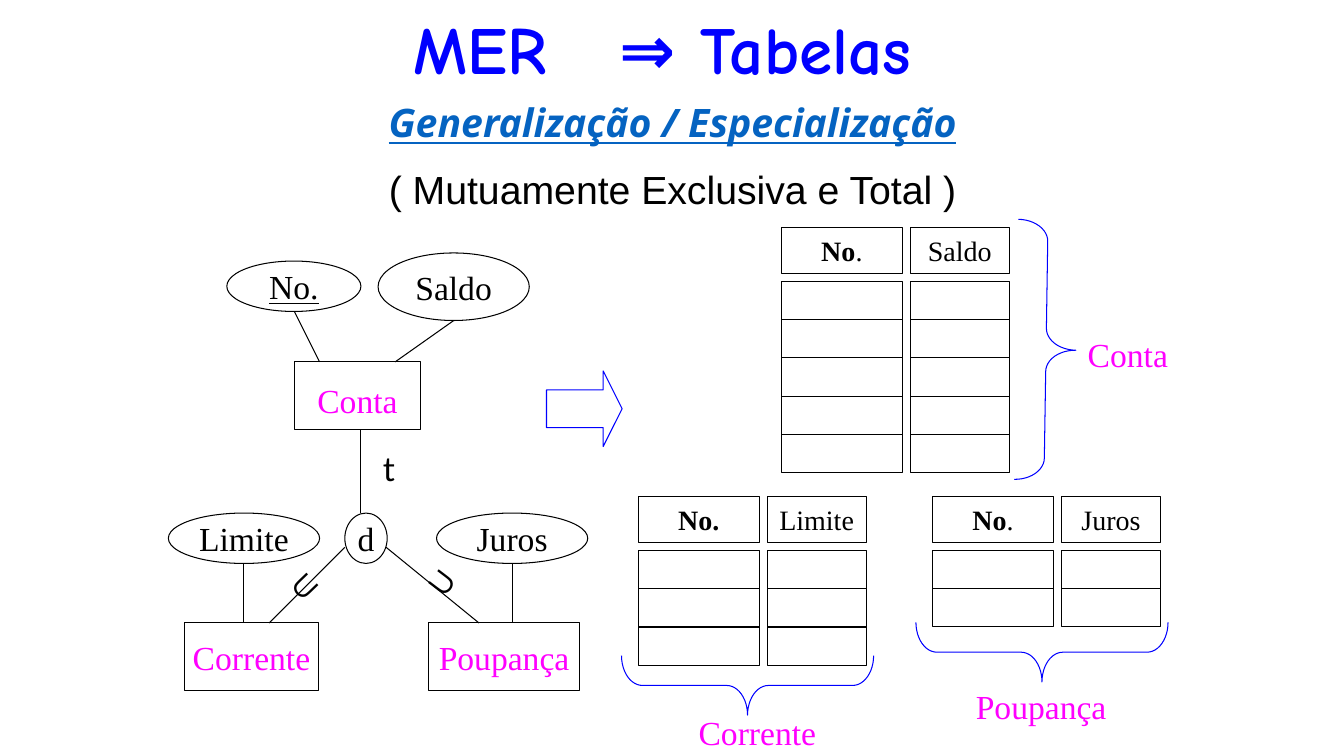
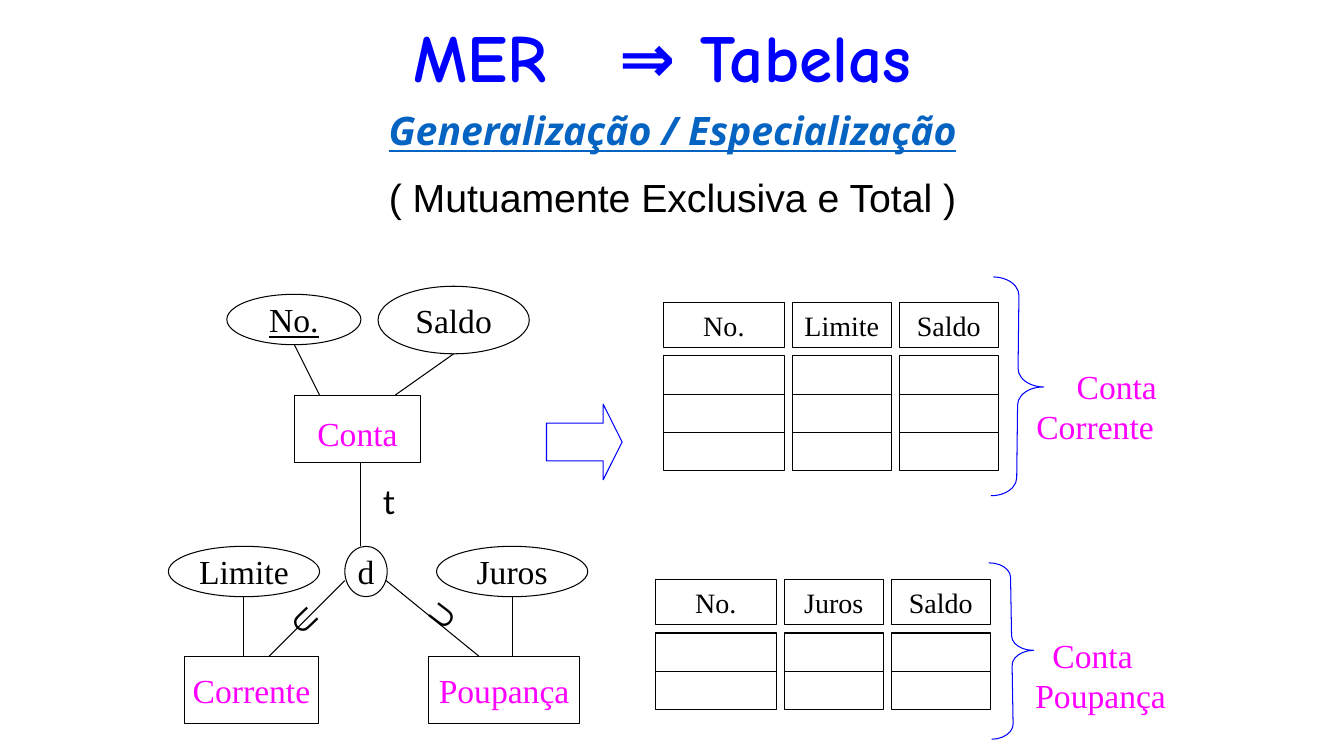
"""Build two slides that map an entity model with specialisation to tables."""
from dataclasses import dataclass
from typing import NamedTuple

from lxml import etree
from pptx import Presentation, slide as sl, util as u
from pptx.dml import color as col
from pptx.enum import shapes as sh, text as tx
from pptx.oxml import ns

KIND = sh.MSO_SHAPE
LEFT, MID = tx.PP_ALIGN.LEFT, tx.PP_ALIGN.CENTER
TOP, CORE, LOW = tx.MSO_ANCHOR.TOP, tx.MSO_ANCHOR.MIDDLE, tx.MSO_ANCHOR.BOTTOM


@dataclass(frozen=True)
class Theme:
    ink: str = "000000"
    blue: str = "0000FF"
    link: str = "0563C1"
    pink: str = "FF00FF"
    serif: str = "Times New Roman"
    comic: str = "Comic Neue"
    noto: str = "Noto Sans"
    arial: str = "Arial"
    lato: str = "Lato"
    title: int = 48
    sub: int = 28
    body: int = 24
    head: int = 20
    line: float = 0.75


T = Theme()


class Run(NamedTuple):
    text: str
    size: int = T.body
    font: str = T.serif
    color: str = T.ink
    bold: bool = False
    slant: bool = False
    under: bool = False


class Para(NamedTuple):
    runs: tuple[Run, ...]
    align: tx.PP_ALIGN = LEFT
    space: float = 0
    indent: float = 0
    tab: float = 0


class Box(NamedTuple):
    x: float
    y: float
    w: float
    h: float


@dataclass(frozen=True)
class Node:
    kind: sh.MSO_SHAPE
    box: Box
    run: Run
    drop: float = 0


@dataclass(frozen=True)
class Link:
    x1: float
    y1: float
    x2: float
    y2: float


@dataclass(frozen=True)
class Brace:
    box: Box
    turn: float
    bend: float


@dataclass(frozen=True)
class Label:
    box: Box
    lines: tuple[str, ...]
    indent: float = 0


@dataclass(frozen=True)
class Grid:
    x: float
    y: float
    rows: int
    heads: tuple[tuple[Run, ...], ...]


@dataclass(frozen=True)
class Page:
    top: float
    drop: float
    grids: tuple[Grid, ...]
    braces: tuple[Brace, ...]
    labels: tuple[Label, ...]


def pink(word: str) -> Run:
    """Return a run in the entity colour."""
    return Run(word, color=T.pink)


def head(word: str, bold: bool = False) -> Run:
    """Return a run in the column heading size."""
    return Run(word, T.head, bold=bold)


NODES = (
    Node(KIND.RECTANGLE, Box(2.92, 3.59, 1.25, 0.67), pink("Conta"), 0.04),
    Node(KIND.OVAL, Box(2.25, 2.59, 1.33, 0.5), Run("No.", under=True)),
    Node(KIND.OVAL, Box(3.75, 2.51, 1.5, 0.67), Run("Saldo")),
    Node(KIND.OVAL, Box(3.42, 5.09, 0.42, 0.5), Run("d")),
    Node(KIND.RECTANGLE, Box(1.83, 6.18, 1.33, 0.67), pink("Corrente")),
    Node(KIND.RECTANGLE, Box(4.25, 6.18, 1.5, 0.67), pink("Poupança")),
    Node(KIND.OVAL, Box(1.67, 5.09, 1.5, 0.5), Run("Limite")),
    Node(KIND.OVAL, Box(4.33, 5.09, 1.5, 0.5), Run("Juros")),
)
LINKS = (
    Link(2.92, 3.09, 3.17, 3.59),
    Link(4.5, 3.18, 3.92, 3.59),
    Link(3.42, 5.43, 2.67, 6.18),
    Link(3.83, 5.43, 4.75, 6.18),
    Link(3.58, 5.09, 3.58, 4.26),
    Link(2.42, 5.59, 2.42, 6.18),
    Link(5.08, 5.59, 5.08, 6.18),
)
CUP = Run("∪", T.sub, bold=True)
MARKS = (
    (Box(4.08, 5.51, 0.5, 0.57), 307.3, CUP),
    (Box(2.78, 5.48, 0.5, 0.57), 46.1, CUP),
    (Box(3.7, 4.39, 0.31, 0.51), 0, Run("t", font=T.lato)),
)

NUM = (head("No"),)
NUM_DOT = (head("No", True), head("."))
FULL = (head("No."),)
BOLD = (head("No.", True),)
SALDO, LIMIT, JUROS = ((head(word),) for word in ("Saldo", "Limite", "Juros"))

PAGES = (
    Page(
        0.34, 0,
        (
            Grid(7.75, 2.26, 5, (NUM_DOT, SALDO)),
            Grid(6.33, 4.93, 3, (BOLD, LIMIT)),
            Grid(9.25, 4.93, 2, (NUM_DOT, JUROS)),
        ),
        (
            Brace(Box(10.08, 2.18, 0.59, 2.58), 180.9, 0.364),
            Brace(Box(7.12, 5.55, 0.59, 2.5), 270, 0.352),
            Brace(Box(10.04, 5.22, 0.59, 2.5), 270, 0.352),
        ),
        (
            Label(Box(10.69, 3.26, 1.2, 0.5), ("Conta",)),
            Label(Box(6.83, 7.01, 1.58, 0.5), ("Corrente",)),
            Label(Box(9.58, 6.76, 2, 0.5), ("Poupança",)),
        ),
    ),
    Page(
        0.42, 0.33,
        (
            Grid(6.58, 3, 3, (FULL, LIMIT, SALDO)),
            Grid(6.5, 5.75, 2, (FULL, JUROS, SALDO)),
        ),
        (
            Brace(Box(9.84, 2.75, 0.51, 2.17), 180.7, 0.355),
            Brace(Box(9.82, 5.58, 0.43, 1.75), 179, 0.343),
        ),
        (
            Label(Box(10.18, 3.58, 1.83, 0.91), ("Conta", "Corrente"), 0.4),
            Label(Box(10.17, 6.25, 2, 0.91), ("Conta", "Poupança"), 0.17),
        ),
    ),
)


def rgb(code: str) -> col.RGBColor:
    """Turn a hex code into a colour."""
    return col.RGBColor.from_string(code)


def area(box: Box) -> tuple[u.Length, ...]:
    """Turn a box into lengths."""
    return tuple(u.Inches(side) for side in box)


def write(frame, paras: tuple[Para, ...], anchor: tx.MSO_ANCHOR, wrap: bool) -> None:
    """Fill a text frame run by run."""
    frame.word_wrap = wrap
    frame.vertical_anchor = anchor
    for num, item in enumerate(paras):
        para = frame.add_paragraph() if num else frame.paragraphs[0]
        para.alignment = item.align
        if item.space:
            para.space_before = u.Pt(item.space)
        props = para._p.get_or_add_pPr()
        if item.indent:
            props.set("marL", str(u.Inches(item.indent)))
        if item.tab:
            tabs = etree.SubElement(props, ns.qn("a:tabLst"))
            etree.SubElement(tabs, ns.qn("a:tab"), pos=str(u.Inches(item.tab)), algn="l")
        for part in item.runs:
            run = para.add_run()
            run.text = part.text
            font = run.font
            font.size, font.name = u.Pt(part.size), part.font
            font.bold, font.italic, font.underline = part.bold, part.slant, part.under
            font.color.rgb = rgb(part.color)


def note(page: sl.Slide, box: Box, *paras: Para, anchor=TOP, wrap=True, turn: float = 0) -> None:
    """Add a text box."""
    item = page.shapes.add_textbox(*area(box))
    item.rotation = turn
    write(item.text_frame, paras, anchor, wrap)


def form(page: sl.Slide, kind: sh.MSO_SHAPE, box: Box, color: str = T.ink):
    """Add an outlined shape without fill."""
    item = page.shapes.add_shape(kind, *area(box))
    item.shadow.inherit = False
    item.fill.background()
    item.line.color.rgb = rgb(color)
    item.line.width = u.Pt(T.line)
    return item


def titles(page: sl.Slide, top: float) -> None:
    """Add the title and both subtitle lines."""
    big = Run("MER\t⇒ Tabelas", T.title, T.comic, T.blue, True)
    note(page, Box(4, top, 5.4, 0.58), Para((big,), tab=2.05), anchor=LOW)
    topic = Run("Generalização / Especialização", T.sub, T.noto, T.link, True, True, True)
    case = Run("( Mutuamente Exclusiva e Total )", T.sub, T.arial)
    note(page, Box(1.67, top + 0.59, 10, 1.27), Para((topic,), MID), Para((case,), MID, 14))


def model(page: sl.Slide, drop: float) -> None:
    """Draw the entity diagram and the arrow beside it."""
    def low(box: Box) -> Box:
        """Move a box down."""
        return box._replace(y=box.y + drop)

    for node in NODES:
        frame = form(page, node.kind, low(node.box)).text_frame
        frame.margin_top = u.Inches(0.05 + 2 * node.drop)
        write(frame, (Para((node.run,), MID),), CORE, False)
    for link in LINKS:
        ends = (link.x1, link.y1 + drop, link.x2, link.y2 + drop)
        line = page.shapes.add_connector(sh.MSO_CONNECTOR.STRAIGHT, *map(u.Inches, ends))
        line.line.color.rgb = rgb(T.ink)
        line.line.width = u.Pt(T.line)
        etree.SubElement(line._element.spPr, ns.qn("a:effectLst"))
    for box, turn, run in MARKS:
        note(page, low(box), Para((run,)), wrap=False, turn=turn)
    arrow = form(page, KIND.RIGHT_ARROW, low(Box(5.42, 3.68, 0.75, 0.75)), T.blue)
    arrow.adjustments[0], arrow.adjustments[1] = 0.5, 0.25


def table(page: sl.Slide, grid: Grid) -> None:
    """Draw spaced columns of cells under their headings."""
    x, cell, gap = grid.x, 0.38, 0.08
    for num, runs in enumerate(grid.heads):
        wide = 0.98 if num else 1.2
        top = form(page, KIND.RECTANGLE, Box(x, grid.y, wide, 0.45))
        write(top.text_frame, (Para(runs, MID),), CORE, False)
        for row in range(grid.rows):
            form(page, KIND.RECTANGLE, Box(x, grid.y + 0.53 + row * cell, wide, cell))
        x += wide + gap


def build(page: sl.Slide, plan: Page) -> None:
    """Draw one whole slide."""
    titles(page, plan.top)
    model(page, plan.drop)
    for grid in plan.grids:
        table(page, grid)
    for brace in plan.braces:
        item = form(page, KIND.LEFT_BRACE, brace.box, T.blue)
        item.rotation = brace.turn
        item.adjustments[0], item.adjustments[1] = brace.bend, 0.5
    for label in plan.labels:
        paras = (Para((pink(word),), indent=0 if num else label.indent)
                 for num, word in enumerate(label.lines))
        note(page, label.box, *paras)


def main() -> None:
    """Build and save the deck."""
    deck = Presentation()
    deck.slide_width, deck.slide_height = u.Inches(13.33), u.Inches(7.5)
    for plan in PAGES:
        build(deck.slides.add_slide(deck.slide_layouts[6]), plan)
    deck.save("out.pptx")


if __name__ == "__main__":
    main()
